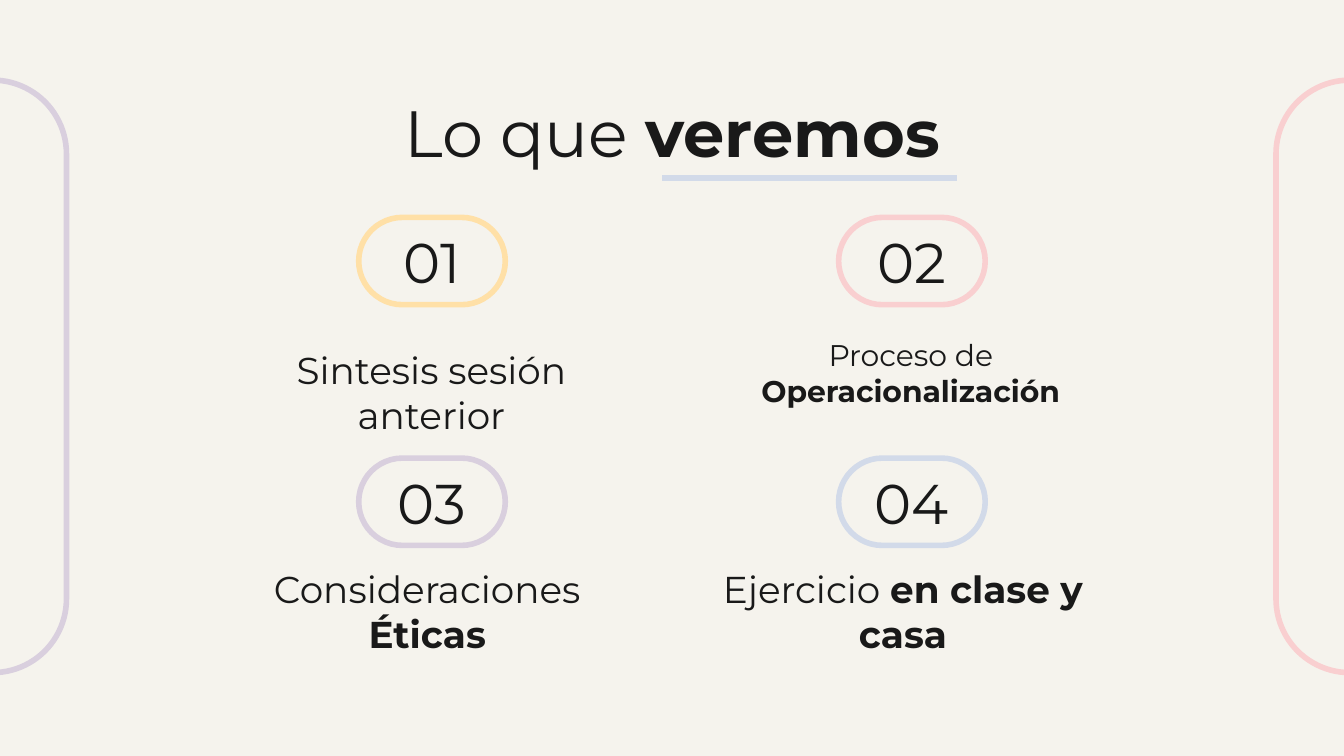
"""Build the agenda slide with four numbered topics."""
from lxml.etree import SubElement
from pptx import Presentation
from pptx.dml.color import RGBColor
from pptx.enum.shapes import MSO_CONNECTOR, MSO_SHAPE
from pptx.enum.text import MSO_ANCHOR, MSO_AUTO_SIZE, PP_ALIGN
from pptx.oxml.ns import qn
from pptx.util import Cm, Pt

CREAM = RGBColor(0xF5, 0xF3, 0xED)
INK = RGBColor(0x19, 0x19, 0x19)
LILAC = RGBColor(0xD9, 0xCF, 0xDE)
PINK = RGBColor(0xF9, 0xCF, 0xD0)
YELLOW = RGBColor(0xFF, 0xE0, 0xA7)
BLUE = RGBColor(0xD2, 0xDA, 0xE9)
FONT = "Montserrat"

TITLE = [("Lo que ", False), ("veremos", True)]
TOPICS = [
    {"color": YELLOW, "size": 20, "label_at": (4.22, 7.04),
     "runs": [("Sintesis sesión anterior", False)]},
    {"color": PINK, "size": 16, "label_at": (13.28, 6.5),
     "runs": [("Proceso de ", False), ("Operacionalización", True)]},
    {"color": LILAC, "size": 20, "label_at": (4.14, 11.18),
     "runs": [("Consideraciones", False), (" Éticas", True)]},
    {"color": BLUE, "size": 20, "label_at": (13.13, 11.18),
     "runs": [("Ejercicio ", False), ("en clase y casa", True)]},
]
SIDE_FRAMES = [(-5.74, LILAC), (19.91, PINK)]
COLUMNS = (6.78, 15.85)
ROWS = (4.11, 8.66)
PILL_WIDTH, PILL_HEIGHT = 2.77, 1.65
NUMBER_WIDTH = 1.96
LABEL_WIDTH, LABEL_HEIGHT = 7.87, 1.47


def add_pill(slide, left, top, width, height, color, rotation=0):
    shape = slide.shapes.add_shape(
        MSO_SHAPE.ROUNDED_RECTANGLE, Cm(left), Cm(top), Cm(width), Cm(height))
    shape.adjustments[0] = 0.5
    shape.rotation = rotation
    shape.shadow.inherit = False
    shape.fill.background()
    shape.line.color.rgb = color
    shape.line.width = Pt(3)


def write(shape, runs, size, anchor=MSO_ANCHOR.TOP):
    frame = shape.text_frame
    frame.word_wrap = True
    frame.auto_size = MSO_AUTO_SIZE.NONE
    frame.vertical_anchor = anchor
    frame.margin_left = frame.margin_right = Cm(0.25)
    frame.margin_top = frame.margin_bottom = Cm(0.25)
    paragraph = frame.paragraphs[0]
    paragraph.alignment = PP_ALIGN.CENTER
    for text, bold in runs:
        run = paragraph.add_run()
        run.text = text
        run.font.name = FONT
        run.font.size = Pt(size)
        run.font.bold = bold
        run.font.color.rgb = INK


def add_text(slide, left, top, width, height, runs, size, anchor=MSO_ANCHOR.TOP):
    box = slide.shapes.add_textbox(Cm(left), Cm(top), Cm(width), Cm(height))
    write(box, runs, size, anchor)


def add_title(slide):
    title = slide.shapes.title
    title.left, title.top = Cm(2), Cm(1.5)
    title.width, title.height = Cm(21.41), Cm(1.6)
    write(title, TITLE, 35)
    underline = slide.shapes.add_connector(
        MSO_CONNECTOR.STRAIGHT, Cm(12.52), Cm(3.36), Cm(18.08), Cm(3.36))
    underline.line.color.rgb = BLUE
    underline.line.width = Pt(3)
    SubElement(underline._element.spPr, qn("a:effectLst"))


def add_topic(slide, index, topic):
    row, column = divmod(index, len(COLUMNS))
    left, top = COLUMNS[column], ROWS[row]
    add_pill(slide, left, top, PILL_WIDTH, PILL_HEIGHT, topic["color"])
    number_left = left + (PILL_WIDTH - NUMBER_WIDTH) / 2
    add_text(slide, number_left, top - 0.06, NUMBER_WIDTH, PILL_HEIGHT,
             [(f"{index + 1:02d}", False)], 30)
    add_text(slide, *topic["label_at"], LABEL_WIDTH, LABEL_HEIGHT,
             topic["runs"], topic["size"], MSO_ANCHOR.BOTTOM)


def main():
    presentation = Presentation()
    presentation.slide_width, presentation.slide_height = Cm(25.4), Cm(14.29)
    slide = presentation.slides.add_slide(presentation.slide_layouts[5])
    slide.background.fill.solid()
    slide.background.fill.fore_color.rgb = CREAM
    for left, color in SIDE_FRAMES:
        add_pill(slide, left, 5.72, 11.2, 2.79, color, rotation=90)
    add_title(slide)
    for index, topic in enumerate(TOPICS):
        add_topic(slide, index, topic)
    presentation.save("out.pptx")


if __name__ == "__main__":
    main()
